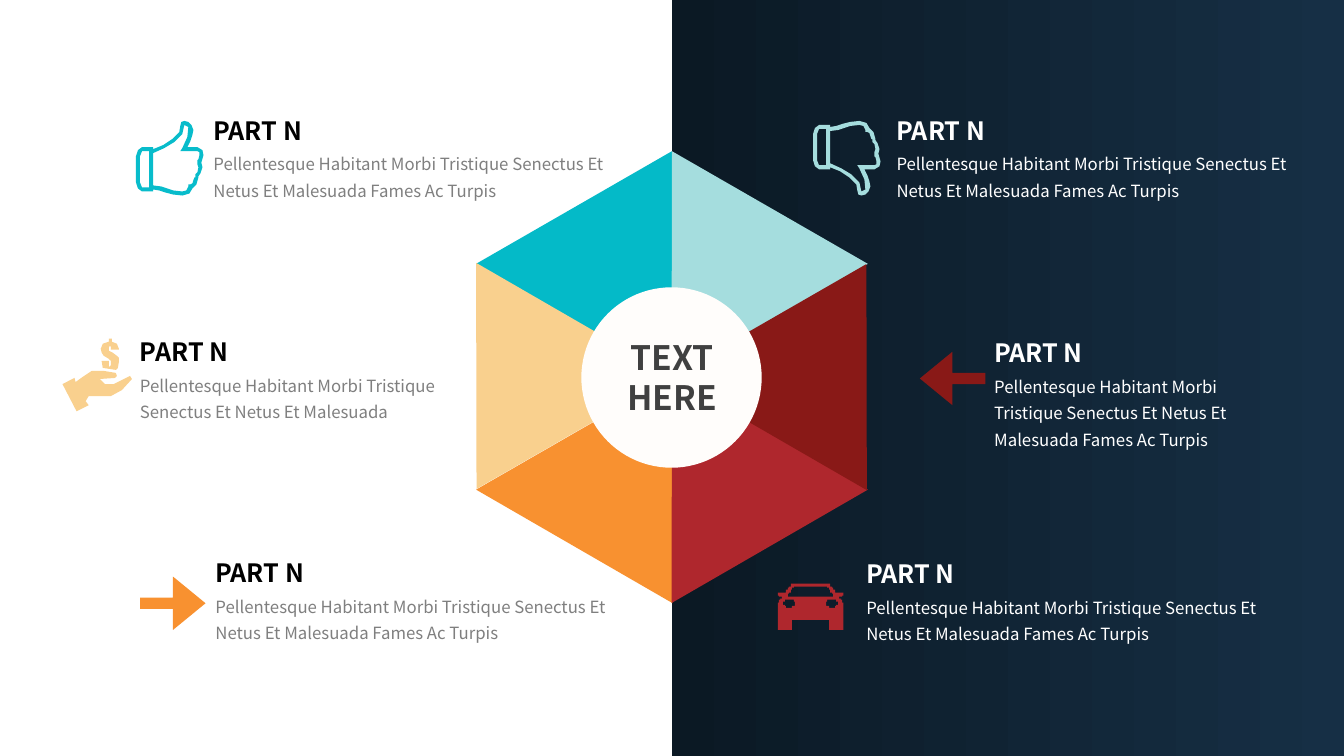
"""Build a six-part hexagon slide with icons and captions."""
from dataclasses import dataclass
from typing import NamedTuple

import pptx
import pptx.dml.color
import pptx.enum.shapes
import pptx.enum.text
import pptx.shapes.autoshape
import pptx.slide
import pptx.util

Inches = pptx.util.Inches
MSO_SHAPE = pptx.enum.shapes.MSO_SHAPE
Contour = list[tuple[int, int]]


@dataclass(frozen=True)
class Theme:
    font: str = "Noto Sans CJK SC"
    teal: str = "04BAC8"
    thumb_teal: str = "08BCCB"
    aqua: str = "A5DDDE"
    sand: str = "F9D08E"
    orange: str = "F89130"
    red: str = "AF272D"
    maroon: str = "891917"
    navy_light: str = "162F45"
    navy_dark: str = "0B1924"
    hub: str = "FFFDFB"
    hub_text: str = "404040"
    title: str = "000000"
    body: str = "7F7F7F"
    white: str = "FFFFFF"
    hub_size: int = 24
    title_size: int = 18
    body_size: int = 12


class Wedge(NamedTuple):
    left: float
    top: float
    rotation: int
    color: str


class Part(NamedTuple):
    left: float
    top: float
    width: float
    height: float
    dark: bool
    body: str


class Arrow(NamedTuple):
    kind: MSO_SHAPE
    left: float
    top: float
    color: str


class Icon(NamedTuple):
    contours: list[Contour]
    color: str


THEME = Theme()
SHORT = "Pellentesque Habitant Morbi Tristique Senectus Et Netus Et Malesuada"
LONG = SHORT + " Fames Ac Turpis"

WEDGES = [
    Wedge(5.06, 3.61, 30, THEME.orange),
    Wedge(5.06, 1.37, 30, THEME.teal),
    Wedge(6.03, 3.61, 330, THEME.red),
    Wedge(6.03, 1.37, 330, THEME.aqua),
    Wedge(4.09, 3.04, 210, THEME.sand),
    Wedge(6.99, 2.49, 30, THEME.maroon),
]
PARTS = [
    Part(2.02, 1.09, 4.12, 0.62, False, LONG),
    Part(1.29, 3.29, 3.23, 0.62, False, SHORT),
    Part(2.04, 5.48, 4.12, 0.62, False, LONG),
    Part(8.8, 1.09, 4.12, 0.62, True, LONG),
    Part(9.77, 3.3, 2.84, 0.88, True, LONG),
    Part(8.5, 5.49, 4.12, 0.62, True, LONG),
]
ARROWS = [
    Arrow(MSO_SHAPE.RIGHT_ARROW, 1.39, 5.72, THEME.orange),
    Arrow(MSO_SHAPE.LEFT_ARROW, 9.13, 3.49, THEME.maroon),
]

THUMB = [
    [(181, 194), (172, 193), (164, 191), (158, 189), (152, 188), (152, 190), (141, 190),
     (137, 187), (135, 181), (135, 155), (137, 149), (141, 146), (152, 146), (152, 148),
     (162, 144), (171, 138), (178, 131), (179, 125), (180, 121), (183, 120), (187, 121),
     (190, 124), (192, 129), (191, 134), (189, 140), (186, 146), (196, 146), (201, 149),
     (202, 154), (200, 161), (200, 162), (201, 166), (199, 172), (197, 175), (197, 176),
     (195, 183), (191, 187), (188, 192)],
    [(152, 184), (160, 185), (166, 187), (172, 189), (181, 190), (185, 189), (187, 185),
     (187, 183), (189, 183), (191, 182), (192, 179), (193, 176), (194, 176), (194, 173),
     (196, 171), (197, 166), (196, 163), (196, 159), (197, 158), (198, 154), (198, 151),
     (196, 150), (179, 150), (181, 147), (186, 136), (187, 126), (183, 124), (181, 133),
     (173, 141), (163, 147), (152, 152)],
    [(141, 150), (139, 155), (139, 181), (141, 186), (148, 186), (148, 150)],
]
HAND = [
    [(118, 347), (110, 347), (110, 344), (109, 343), (108, 345), (108, 348), (112, 350),
     (116, 353), (118, 355), (118, 359), (117, 365), (115, 367), (102, 365), (101, 359),
     (101, 358), (108, 358), (108, 363), (109, 364), (110, 362), (110, 358), (108, 356),
     (103, 353), (101, 350), (100, 346), (102, 341), (108, 339), (108, 336), (111, 336),
     (111, 339), (116, 341), (118, 346)],
    [(62, 381), (76, 408), (88, 402), (85, 398), (88, 393), (99, 393), (110, 393),
     (121, 387), (131, 376), (129, 373), (113, 381), (104, 381), (99, 376), (114, 375),
     (116, 373), (115, 370), (103, 368), (91, 368), (82, 374), (75, 379), (74, 375)],
]
HALF_BODY = [
    (785, 579), (785, 582), (783, 582), (783, 583), (782, 583), (782, 585), (780, 585),
    (780, 588), (772, 588), (772, 591), (773, 591), (773, 592), (776, 592), (776, 594),
    (774, 594), (775, 595), (773, 595), (773, 598), (772, 598), (772, 625), (786, 625),
    (786, 615)]
HALF_WINDOW = [
    (788, 582), (788, 583), (786, 583), (786, 585), (785, 585), (785, 588), (783, 588),
    (783, 589), (782, 589), (782, 592)]
HEADLIGHT = [
    (789, 601), (786, 601), (786, 603), (780, 603), (780, 601), (779, 601), (779, 600),
    (777, 600), (777, 597), (779, 597), (779, 595), (788, 595), (788, 597), (789, 597)]


def mirror(half: Contour) -> Contour:
    """Reflect a contour across the vertical axis of the car."""
    return [(1609 - x, y) for x, y in reversed(half)]


THUMB_DOWN = [[(x + 672, 314 - y) for x, y in contour] for contour in THUMB]
CAR = [HALF_BODY + mirror(HALF_BODY), HALF_WINDOW + mirror(HALF_WINDOW),
       HEADLIGHT, mirror(HEADLIGHT)]
ICONS = [
    Icon(THUMB, THEME.thumb_teal),
    Icon(HAND, THEME.sand),
    Icon(THUMB_DOWN, THEME.aqua),
    Icon(CAR, THEME.red),
]


def rgb(color: str) -> pptx.dml.color.RGBColor:
    """Convert a hex string to a colour."""
    return pptx.dml.color.RGBColor.from_string(color)


def paint(sp: pptx.shapes.autoshape.Shape, color: str) -> None:
    """Give a shape a flat fill without line or shadow."""
    sp.shadow.inherit = False
    sp.line.fill.background()
    sp.fill.solid()
    sp.fill.fore_color.rgb = rgb(color)


def add_shape(s: pptx.slide.Slide, kind: MSO_SHAPE, left: float, top: float,
              width: float, height: float, color: str) -> pptx.shapes.autoshape.Shape:
    """Add a flat preset shape."""
    sp = s.shapes.add_shape(kind, *map(Inches, (left, top, width, height)))
    paint(sp, color)
    return sp


def add_icon(s: pptx.slide.Slide, icon: Icon) -> None:
    """Draw an icon whose points are in hundredths of an inch."""
    first, *others = icon.contours
    builder = s.shapes.build_freeform(*first[0], scale=Inches(0.01))
    builder.add_line_segments(first[1:])
    for contour in others:
        builder.move_to(*contour[0])
        builder.add_line_segments(contour[1:])
    paint(builder.convert_to_shape(), icon.color)


def add_text(s: pptx.slide.Slide, text: str, left: float, top: float, width: float,
             height: float, size: int, color: str, bold: bool = False,
             spacing: float = 1.0, centered: bool = False) -> None:
    """Add a wrapped text box in one style."""
    tf = s.shapes.add_textbox(*map(Inches, (left, top, width, height))).text_frame
    tf.text = text
    tf.word_wrap = True
    tf.auto_size = pptx.enum.text.MSO_AUTO_SIZE.SHAPE_TO_FIT_TEXT
    align = pptx.enum.text.PP_ALIGN
    for p in tf.paragraphs:
        p.alignment = align.CENTER if centered else align.LEFT
        p.line_spacing = spacing
        for r in p.runs:
            r.font.name = THEME.font
            r.font.size = pptx.util.Pt(size)
            r.font.bold = bold
            r.font.color.rgb = rgb(color)


def add_part(s: pptx.slide.Slide, part: Part) -> None:
    """Add the heading and body of one part."""
    title, body = (THEME.white,) * 2 if part.dark else (THEME.title, THEME.body)
    add_text(s, "PART N", part.left, part.top, 1.61, 0.4, THEME.title_size, title, bold=True)
    add_text(s, part.body, part.left, part.top + 0.33, part.width, part.height,
             THEME.body_size, body, spacing=1.3)


def main() -> None:
    """Build and save the slide."""
    prs = pptx.Presentation()
    prs.slide_width, prs.slide_height = Inches(13.34), Inches(7.5)
    s = prs.slides.add_slide(prs.slide_layouts[6])
    panel = add_shape(s, MSO_SHAPE.RECTANGLE, 6.67, 0, 6.67, 7.5, THEME.navy_dark)
    panel.fill.gradient()
    panel.fill.gradient_angle = 180
    for i, color in enumerate((THEME.navy_light, THEME.navy_dark)):
        stop = panel.fill.gradient_stops[i]
        stop.position, stop.color.rgb = i, rgb(color)
    for w in WEDGES:
        sp = add_shape(s, MSO_SHAPE.ISOSCELES_TRIANGLE, w.left, w.top, 2.25, 1.94, w.color)
        sp.rotation = w.rotation
    add_shape(s, MSO_SHAPE.OVAL, 5.77, 2.85, 1.79, 1.79, THEME.hub)
    add_text(s, "TEXT\nHERE", 5.93, 3.29, 1.48, 0.9, THEME.hub_size, THEME.hub_text,
             bold=True, centered=True)
    for icon in ICONS:
        add_icon(s, icon)
    for a in ARROWS:
        sp = add_shape(s, a.kind, a.left, a.top, 0.65, 0.53, a.color)
        sp.adjustments[0], sp.adjustments[1] = 0.21, 0.61
    for part in PARTS:
        add_part(s, part)
    prs.save("out.pptx")


if __name__ == "__main__":
    main()
